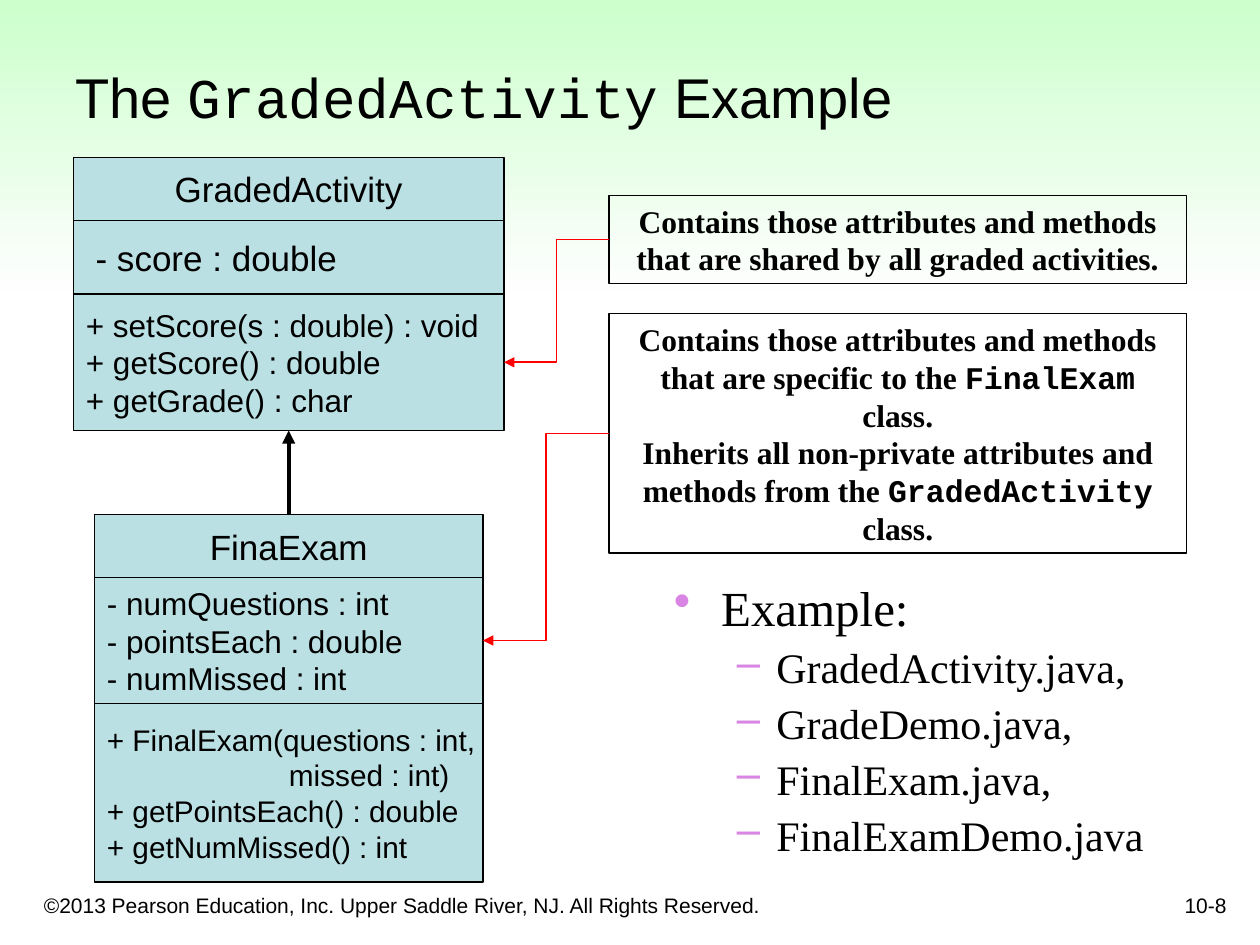
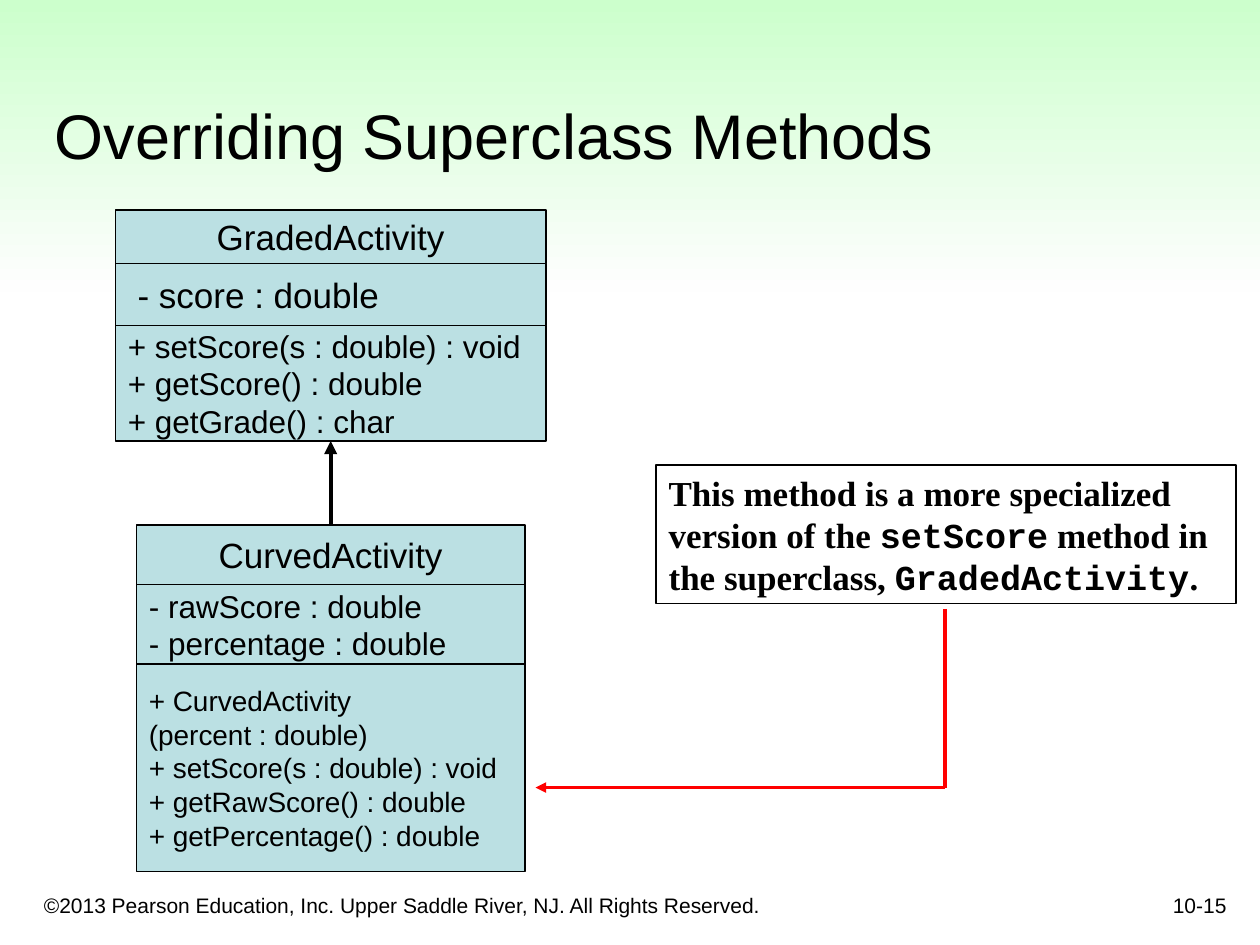
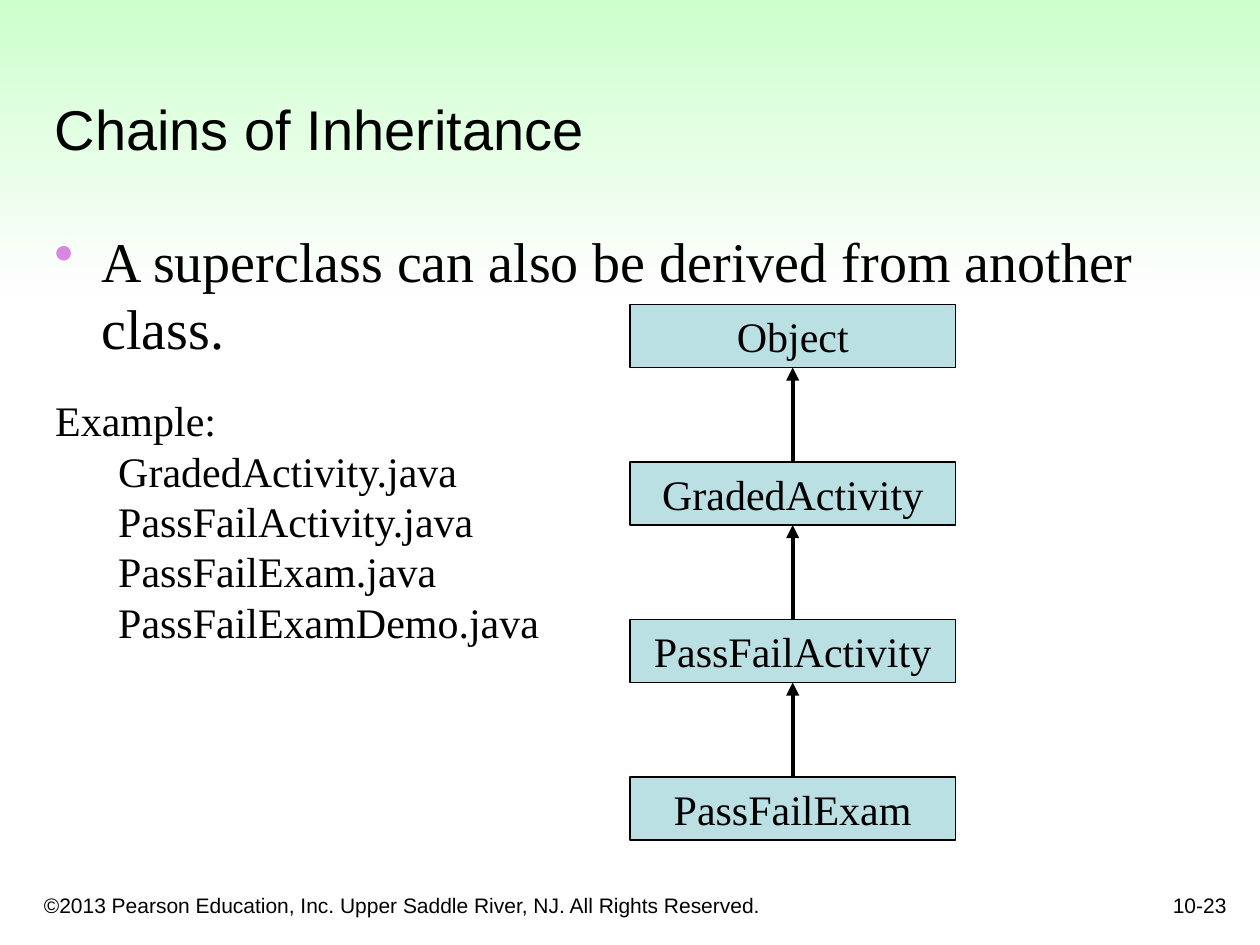
from dataclasses import dataclass
from typing import Optional, Sequence

import lxml.etree
import pptx
import pptx.dml.color
import pptx.enum.shapes
import pptx.enum.text
import pptx.oxml.ns
import pptx.util

Pt = pptx.util.Pt
qn = pptx.oxml.ns.qn
Align = pptx.enum.text.PP_ALIGN
Anchor = pptx.enum.text.MSO_ANCHOR
Connector = pptx.enum.shapes.MSO_CONNECTOR
TOP, LEFT, BOTTOM, RIGHT = range(4)


@dataclass(frozen=True)
class Theme:
    black: str = "000000"
    red: str = "FF0000"
    class_fill: str = "BBE0E3"
    bullet: str = "D885E3"
    band_top: str = "CCFFCC"
    band_bottom: str = "FEFEFE"
    sans: str = "Arial"
    serif: str = "Times New Roman"
    mono: str = "Courier New"
    title: float = 32
    large_title: float = 36
    lead: float = 28
    item: float = 24
    class_name: float = 20
    member: float = 18
    footer: float = 12


THEME = Theme()
COPYRIGHT = "©2013 Pearson Education, Inc. Upper Saddle River, NJ. All Rights Reserved."


@dataclass(frozen=True)
class Area:
    left: float
    top: float
    width: float
    height: float

    def lengths(self) -> list:
        return [Pt(n) for n in (self.left, self.top, self.width, self.height)]


@dataclass(frozen=True)
class Member:
    text: str
    indent: float = 0


@dataclass(frozen=True)
class Section:
    height: float
    members: Sequence[Member]
    size: float = THEME.member


@dataclass(frozen=True)
class ClassDiagram:
    name: str
    left: float
    top: float
    width: float
    name_height: float
    sections: Sequence[Section]


# Text

def rgb(value: str) -> pptx.dml.color.RGBColor:
    return pptx.dml.color.RGBColor.from_string(value)


def set_frame(box, *, anchor=Anchor.TOP, right: float = 7.2) -> None:
    frame = box.text_frame
    frame.word_wrap = True
    frame.auto_size = pptx.enum.text.MSO_AUTO_SIZE.NONE
    frame.vertical_anchor = anchor
    frame.margin_left, frame.margin_right = Pt(7.2), Pt(right)
    frame.margin_top = frame.margin_bottom = Pt(3.6)


def write(box, text: str, *, size: float, font: str = THEME.serif,
          bold: bool = False, align=Align.LEFT, left: float = 0,
          hanging: float = 0, bullet: str = "", level: int = 0,
          before: float = 0, spacing: Optional[float] = None) -> None:
    """Add one paragraph; backticks enclose spans in the code font."""
    frame = box.text_frame
    para = frame.paragraphs[0] if not frame.text else frame.add_paragraph()
    properties = para._p.get_or_add_pPr()
    properties.set("marL", str(Pt(left)))
    properties.set("indent", str(Pt(-hanging)))
    if bullet:
        color = lxml.etree.SubElement(properties, qn("a:buClr"))
        lxml.etree.SubElement(color, qn("a:srgbClr"), val=THEME.bullet)
        lxml.etree.SubElement(properties, qn("a:buChar"), char=bullet)
    para.level, para.alignment = level, align
    para.space_before = Pt(before)
    if spacing:
        para.line_spacing = spacing
    for index, part in enumerate(text.split("`")):
        if part:
            span = para.add_run()
            span.text = part
            span.font.name = THEME.mono if index % 2 else font
            span.font.size = Pt(size)
            span.font.bold = bold
            span.font.color.rgb = rgb(THEME.black)


def add_text_box(page, area: Area, **frame_format):
    box = page.shapes.add_textbox(*area.lengths())
    set_frame(box, **frame_format)
    return box


# Shapes and connectors

def add_rectangle(page, area: Area, *, fill: Optional[str] = THEME.class_fill,
                  line: float = 0.75, anchor=Anchor.MIDDLE, right: float = 7.2):
    box = page.shapes.add_shape(
        pptx.enum.shapes.MSO_SHAPE.RECTANGLE, *area.lengths())
    box.shadow.inherit = False
    if fill:
        box.fill.solid()
        box.fill.fore_color.rgb = rgb(fill)
    else:
        box.fill.background()
    box.line.color.rgb = rgb(THEME.black)
    box.line.width = Pt(line)
    set_frame(box, anchor=anchor, right=right)
    return box


def add_line(page, start: tuple = (0, 0), end: tuple = (0, 0), *,
             kind=Connector.STRAIGHT, color: str = THEME.black,
             width: float = 2.5, arrow: bool = True):
    connector = page.shapes.add_connector(
        kind, *(Pt(n) for n in (*start, *end)))
    connector.line.color.rgb = rgb(color)
    connector.line.width = Pt(width)
    properties = connector.element.spPr
    if arrow:
        lxml.etree.SubElement(
            properties.find(qn("a:ln")), qn("a:tailEnd"), type="triangle")
    lxml.etree.SubElement(properties, qn("a:effectLst"))
    return connector


def join(page, source, source_side: int, target, target_side: int,
         **line_format) -> None:
    connector = add_line(page, **line_format)
    connector.begin_connect(source, source_side)
    connector.end_connect(target, target_side)


def join_callout(page, callout, target) -> None:
    join(page, callout, LEFT, target, RIGHT,
         kind=Connector.ELBOW, color=THEME.red, width=1)


def add_class(page, diagram: ClassDiagram) -> list:
    """Draw the name box and one box per section, stacked."""
    top = diagram.top
    name_box = add_rectangle(
        page, Area(diagram.left, top, diagram.width, diagram.name_height))
    write(name_box, diagram.name, size=THEME.class_name, font=THEME.sans,
          align=Align.CENTER)
    boxes = [name_box]
    top += diagram.name_height
    for section in diagram.sections:
        box = add_rectangle(
            page, Area(diagram.left, top, diagram.width, section.height), right=0)
        for member in section.members:
            write(box, member.text, size=section.size, font=THEME.sans,
                  left=member.indent)
        boxes.append(box)
        top += section.height
    return boxes


def graded_activity(left: float, top: float, heights: Sequence[float]) -> ClassDiagram:
    name_height, field_height, method_height = heights
    return ClassDiagram("GradedActivity", left, top, 246, name_height, (
        Section(field_height, [Member("- score : double", 5.56)], THEME.class_name),
        Section(method_height, [Member("+ setScore(s : double) : void"),
                                Member("+ getScore() : double"),
                                Member("+ getGrade() : char")]),
    ))


# Shared page parts

def add_page(deck, title: str, number: str, title_area: Area,
             title_size: float = THEME.title):
    page = deck.slides.add_slide(deck.slide_layouts[5])
    band = page.shapes.add_shape(
        pptx.enum.shapes.MSO_SHAPE.RECTANGLE, *Area(0, 0, 720, 167).lengths())
    band.shadow.inherit = False
    band.line.fill.background()
    band.fill.gradient()
    band.fill.gradient_angle = 270
    for stop, color in zip(band.fill.gradient_stops,
                           (THEME.band_top, THEME.band_bottom)):
        stop.color.rgb = rgb(color)
    page.shapes.element.insert(2, band.element)

    heading = page.shapes.title
    heading.left, heading.top, heading.width, heading.height = title_area.lengths()
    set_frame(heading, anchor=Anchor.BOTTOM)
    write(heading, title, size=title_size, font=THEME.sans)

    footer = add_text_box(page, Area(18, 498, 438, 30), anchor=Anchor.BOTTOM)
    write(footer, COPYRIGHT, size=THEME.footer, font=THEME.sans)
    page_number = add_text_box(page, Area(558, 492, 150, 36), anchor=Anchor.BOTTOM)
    write(page_number, number, size=THEME.footer, font=THEME.sans, align=Align.RIGHT)
    return page


# Pages

def build_example_page(deck) -> None:
    page = add_page(deck, "The `GradedActivity` Example", "10-8",
                    Area(36, 18, 612, 60))

    files = add_text_box(page, Area(378, 330, 306, 168), right=0)
    write(files, "Example:", size=THEME.lead, left=27, hanging=27,
          bullet="•", spacing=0.9)
    for name in ("GradedActivity.java,", "GradeDemo.java,",
                 "FinalExam.java,", "FinalExamDemo.java"):
        write(files, name, size=THEME.item, left=58.5, hanging=22.5,
              bullet="–", level=1, before=6, spacing=0.9)

    superclass = add_class(page, graded_activity(42, 90, (36, 42, 78)))
    subclass = add_class(page, ClassDiagram("FinaExam", 54, 294, 222, 36, (
        Section(72, [Member("- numQuestions : int"),
                     Member("- pointsEach : double"),
                     Member("- numMissed : int")]),
        Section(102, [Member("+ FinalExam(questions : int,"),
                      Member("missed : int)", 104),
                      Member("+ getPointsEach() : double"),
                      Member("+ getNumMissed() : int")], 17),
    )))
    join(page, subclass[0], TOP, superclass[-1], BOTTOM)

    callouts = (
        (Area(348, 111.6, 330, 50.4), superclass[2],
         ("Contains those attributes and methods that are shared by all "
          "graded activities.",)),
        (Area(348, 179.3, 330, 136.8), subclass[1],
         ("Contains those attributes and methods that are specific to the "
          "`FinalExam` class.",
          "Inherits all non-private attributes and methods from the "
          "`GradedActivity` class.")),
    )
    for area, target, sentences in callouts:
        callout = add_rectangle(page, area, fill=None)
        for sentence in sentences:
            write(callout, sentence, size=THEME.member, bold=True,
                  align=Align.CENTER)
        join_callout(page, callout, target)


def build_overriding_page(deck) -> None:
    page = add_page(deck, "Overriding Superclass Methods", "10-15",
                    Area(24, 24, 678, 78), THEME.large_title)

    superclass = add_class(page, graded_activity(66, 120, (30.5, 35.5, 66)))
    subclass = add_class(page, ClassDiagram("CurvedActivity", 78, 300, 222, 34, (
        Section(45.5, [Member("- rawScore : double"),
                       Member("- percentage : double")]),
        Section(118.5, [Member("+ CurvedActivity"),
                        Member("(percent : double)"),
                        Member("+ setScore(s : double) : void"),
                        Member("+ getRawScore() : double"),
                        Member("+ getPercentage() : double")], 16),
    )))
    join(page, subclass[0], TOP, superclass[-1], BOTTOM)

    callout = add_rectangle(page, Area(375, 265.7, 331.2, 79.2), fill=None,
                            line=1, anchor=Anchor.TOP)
    write(callout, "This method is a more specialized version of the `setScore` "
          "method in the superclass, `GradedActivity`.",
          size=THEME.class_name, bold=True)
    corner = (540, 450)
    add_line(page, corner, (306, 450), color=THEME.red, width=2)
    add_line(page, (540, 348), corner, color=THEME.red, width=2, arrow=False)


def build_chain_page(deck) -> None:
    page = add_page(deck, "Chains of Inheritance", "10-23", Area(24, 6, 648, 90))

    statement = add_text_box(page, Area(24, 126, 653, 93), right=0)
    write(statement, "A superclass can also be derived from another class.",
          size=THEME.title, left=27, hanging=27, bullet="•")

    # Each class points up to the one it extends
    parent = None
    for index, name in enumerate(
            ("Object", "GradedActivity", "PassFailActivity", "PassFailExam")):
        box = add_rectangle(page, Area(360, 174 + 90 * index, 186, 36))
        write(box, name, size=THEME.item, align=Align.CENTER)
        if parent is not None:
            join(page, box, TOP, parent, BOTTOM)
        parent = box

    files = add_text_box(page, Area(24.5, 222, 291, 151))
    write(files, "Example:", size=THEME.item)
    for name in ("GradedActivity.java", "PassFailActivity.java",
                 "PassFailExam.java", "PassFailExamDemo.java"):
        write(files, name, size=THEME.item, left=36)


def main() -> None:
    deck = pptx.Presentation()
    deck.slide_width, deck.slide_height = Pt(720), Pt(540)
    build_example_page(deck)
    build_overriding_page(deck)
    build_chain_page(deck)
    deck.save("out.pptx")


if __name__ == "__main__":
    main()
